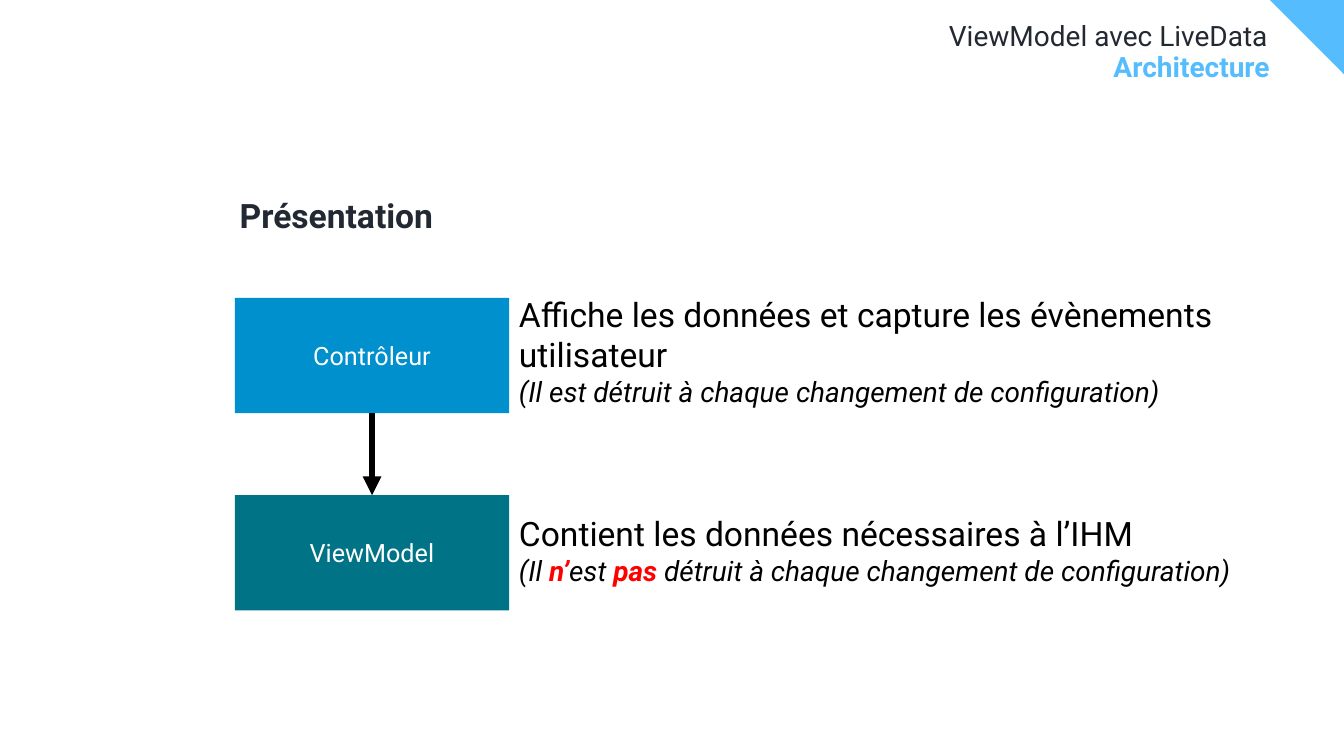
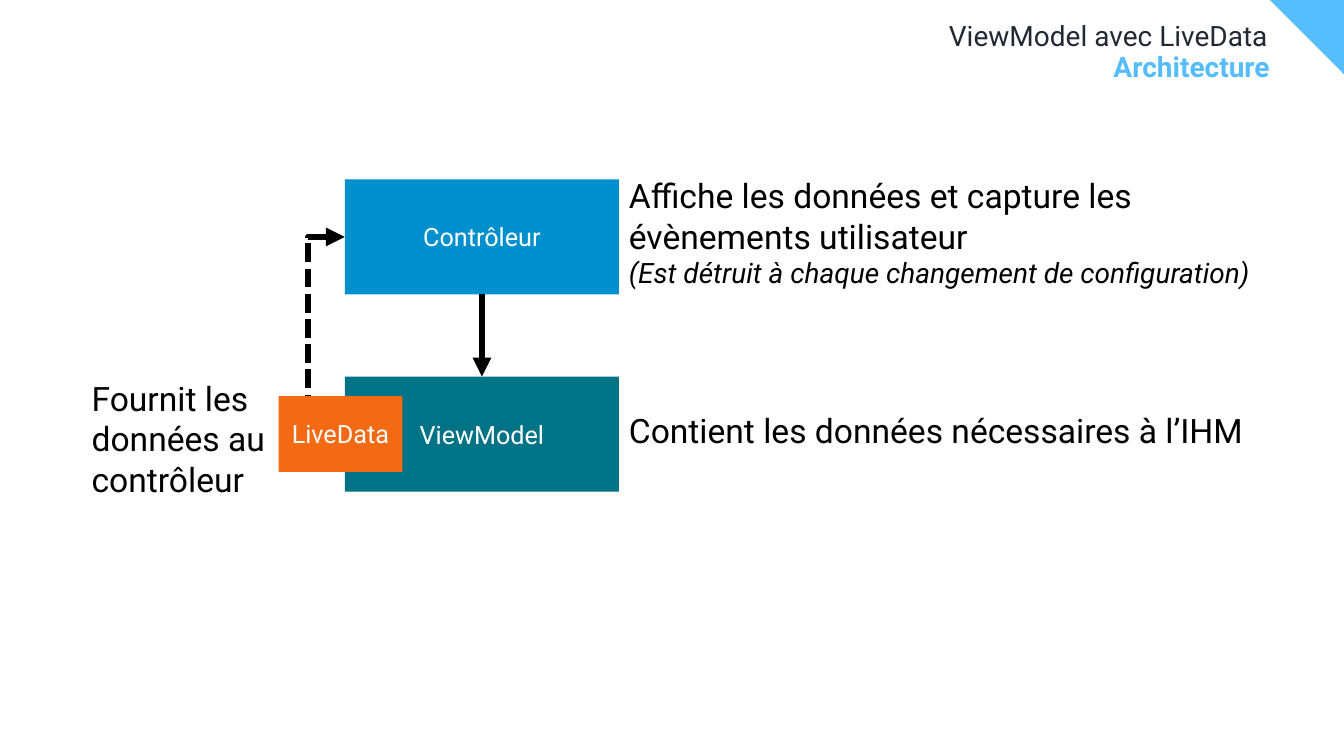
from lxml import etree
from pptx import Presentation
from pptx.dml.color import RGBColor
from pptx.enum.dml import MSO_LINE
from pptx.enum.shapes import MSO_CONNECTOR, MSO_SHAPE
from pptx.enum.text import MSO_ANCHOR, PP_ALIGN
from pptx.oxml.ns import qn
from pptx.util import Cm, Pt

LEFT, CENTER, RIGHT = PP_ALIGN.LEFT, PP_ALIGN.CENTER, PP_ALIGN.RIGHT
TOP, MIDDLE, BOTTOM = MSO_ANCHOR.TOP, MSO_ANCHOR.MIDDLE, MSO_ANCHOR.BOTTOM
RECT = MSO_SHAPE.RECTANGLE
STRAIGHT, ELBOW = MSO_CONNECTOR.STRAIGHT, MSO_CONNECTOR.ELBOW
DASH = MSO_LINE.SQUARE_DOT

# Slide and box sizes, in cm
WIDE, HIGH = 33.87, 19.05
BOX_W, BOX_H, STEP = 6.91, 2.9, 4.97
CORNER = 1.87


def color(code):
    return RGBColor.from_string(code)


def write(frame, *paras, align=LEFT, anchor=TOP, space=None, pad=True, **base):
    """Fill a frame; a paragraph is a list of (text, format) runs."""
    frame.word_wrap = True
    frame.vertical_anchor = anchor
    if not pad:
        frame.margin_left = frame.margin_right = 0
        frame.margin_top = frame.margin_bottom = 0
    for i, runs in enumerate(paras):
        para = frame.add_paragraph() if i else frame.paragraphs[0]
        para.alignment = align
        if space:
            para.line_spacing = space
        for text, extra in runs:
            look = {"size": 24, "ink": "000000", "bold": False,
                    "italic": False, **base, **extra}
            run = para.add_run()
            run.text = text
            font = run.font
            font.name = Deck.FONT
            font.size = Pt(look["size"])
            font.bold = look["bold"]
            font.italic = look["italic"]
            font.color.rgb = color(look["ink"])


class Deck:
    FONT = "Roboto"
    DARK, SKY, WHITE, BLACK, RED = "222933", "55BDFD", "FFFFFF", "000000", "FF0000"
    BLUE, TEAL, ORANGE = "0090CD", "007386", "F46914"

    def __init__(self):
        self.file = Presentation()
        self.file.slide_width, self.file.slide_height = Cm(WIDE), Cm(HIGH)
        self.slide = None

    def page(self, title, topic):
        """Start a slide with the corner and the two heading lines."""
        self.slide = self.file.slides.add_slide(self.file.slide_layouts[6])
        edge = WIDE - CORNER
        pen = self.slide.shapes.build_freeform(Cm(edge), 0)
        pen.add_line_segments([(Cm(WIDE), 0), (Cm(WIDE), Cm(CORNER))])
        self.paint(pen.convert_to_shape(), self.SKY)
        head = {"size": 20, "align": RIGHT, "space": 0.9, "pad": False}
        self.text(0.94, 0.56, 31.01, 0.79, [(title, {})], ink=self.DARK, **head)
        self.text(0.94, 1.35, 31.06, 1.09, [(topic, {})],
                  ink=self.SKY, bold=True, **head)

    def paint(self, shape, fill):
        shape.shadow.inherit = False
        shape.fill.solid()
        shape.fill.fore_color.rgb = color(fill)
        shape.line.fill.background()

    def text(self, x, y, w, h, *paras, **look):
        box = self.slide.shapes.add_textbox(Cm(x), Cm(y), Cm(w), Cm(h))
        write(box.text_frame, *paras, **look)

    def box(self, x, y, label, fill, w=BOX_W, h=BOX_H):
        shape = self.slide.shapes.add_shape(RECT, Cm(x), Cm(y), Cm(w), Cm(h))
        self.paint(shape, fill)
        write(shape.text_frame, [(label, {})], align=CENTER, anchor=MIDDLE,
              size=18, ink=self.WHITE)
        return shape

    def line(self, kind, start, end, tip):
        """Draw a thick line with a triangle at its headEnd or tailEnd."""
        link = self.slide.shapes.add_connector(
            kind, *(Cm(v) for v in (*start, *end)))
        link.line.width = Pt(4.5)
        link.line.color.rgb = color(self.BLACK)
        props = link._element.spPr
        if kind == ELBOW:
            link.line.dash_style = DASH
            props.find(qn("a:prstGeom")).set("prst", "bentConnector2")
        mark = etree.SubElement(props.find(qn("a:ln")), qn("a:" + tip))
        mark.set("type", "triangle")
        etree.SubElement(props, qn("a:effectLst"))
        return link

    def stack(self, x, y):
        """Draw the controller above the view model, joined by an arrow."""
        ctrl = self.box(x, y, "Contrôleur", self.BLUE)
        model = self.box(x, y + STEP, "ViewModel", self.TEAL)
        mid = x + BOX_W / 2
        link = self.line(STRAIGHT, (mid, y + BOX_H), (mid, y + STEP), "tailEnd")
        link.begin_connect(ctrl, 2)
        link.end_connect(model, 0)


def main():
    deck = Deck()
    heads = "ViewModel avec LiveData", "Architecture"
    role = [("Affiche les données et capture les évènements utilisateur", {})]
    holds = [("Contient les données nécessaires à l’IHM", {})]
    note = {"size": 20, "italic": True}
    plain = {"anchor": BOTTOM}

    # Slide 1: the two layers
    deck.page(*heads)
    deck.text(5.79, 4.9, 26.21, 10.92, [("Présentation", {})],
              ink=deck.DARK, bold=True, space=0.9)
    x, y = 5.92, 7.51
    deck.stack(x, y)
    side = x + BOX_W
    deck.text(side, y, 20.17, BOX_H, role,
              [("(Il est détruit à chaque changement de configuration)", note)],
              **plain)
    alert = {**note, "bold": True, "ink": deck.RED}
    deck.text(side, 12.01, 20.17, BOX_H, holds,
              [("(Il ", note), ("n’", alert), ("est ", note), ("pas", alert),
               (" détruit à chaque changement de configuration)", note)],
              **plain)

    # Slide 2: live data feeding the controller
    deck.page(*heads)
    x, y = 8.69, 4.52
    deck.stack(x, y)
    side = x + BOX_W
    deck.text(side, y, 17.91, BOX_H, role,
              [("(Est détruit à chaque changement de configuration)", note)],
              **plain)
    live = 9.98
    deck.box(7.02, live, "LiveData", deck.ORANGE, 3.12, 1.91)
    deck.line(ELBOW, (x, y + BOX_H / 2), (7.77, live), "headEnd")
    deck.text(side, 8.92, 17.91, 2.54, holds, **plain)
    deck.text(2.06, 9.4, 5.79, 3.3,
              [("Fournit les données au contrôleur", {})], **plain)

    deck.file.save("out.pptx")


if __name__ == "__main__":
    main()
